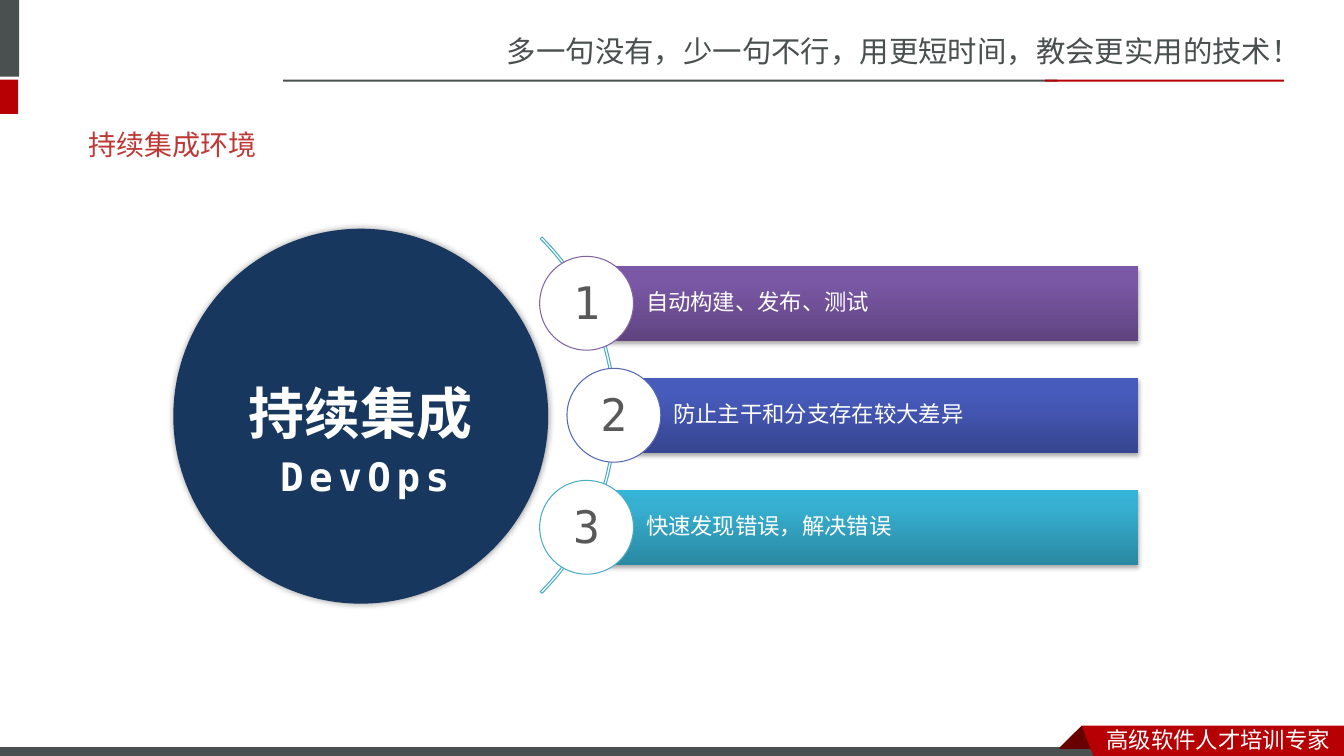
"""Build a slide that presents three benefits of continuous integration."""
from copy import deepcopy

from lxml.etree import SubElement
from pptx import Presentation
from pptx.dml.color import RGBColor
from pptx.enum.shapes import MSO_SHAPE
from pptx.enum.text import MSO_ANCHOR, PP_ALIGN
from pptx.oxml.ns import qn
from pptx.util import Pt

MONO = "DejaVu Sans Mono"
SANS = "Noto Sans CJK SC"
GRAY, RED, WHITE = "49504F", "B60004", "FFFFFF"


def paint(shape, fill=None, line=None, shadow=None):
    if isinstance(fill, tuple):
        shape.fill.gradient()
        shape.fill.gradient_angle = 90
        stop_list = shape._element.spPr.find(".//" + qn("a:gsLst"))
        stop_list.append(deepcopy(stop_list[-1]))
        for stop, position, color in zip(shape.fill.gradient_stops, (0, 0.8, 1), fill):
            stop.position = position
            stop.color.rgb = RGBColor.from_string(color)
    elif fill:
        shape.fill.solid()
        shape.fill.fore_color.rgb = RGBColor.from_string(fill)
    else:
        shape.fill.background()
    if line:
        shape.line.color.rgb = RGBColor.from_string(line)
        shape.line.width = Pt(0.75)
    else:
        shape.line.fill.background()
    shape.shadow.inherit = False
    if shadow:
        blur, distance, opacity = shadow
        effects = shape._element.spPr.find(qn("a:effectLst"))
        outer = SubElement(effects, qn("a:outerShdw"), blurRad=str(Pt(blur)),
                           dist=str(Pt(distance)), dir="5400000", rotWithShape="0")
        black = SubElement(outer, qn("a:srgbClr"), val="000000")
        SubElement(black, qn("a:alpha"), val=str(opacity * 1000))


def write(shape, text, size, color=WHITE, font=MONO, bold=False, align=PP_ALIGN.LEFT,
          anchor=MSO_ANCHOR.MIDDLE, insets=(7.2, 3.6, 7.2, 3.6), leading=1.0, tracking=0):
    frame = shape.text_frame
    frame.word_wrap = True
    frame.vertical_anchor = anchor
    frame.margin_left, frame.margin_top, frame.margin_right, frame.margin_bottom = map(Pt, insets)
    paragraph = frame.paragraphs[0]
    paragraph.alignment = align
    paragraph.line_spacing = leading
    paragraph.space_before = Pt(0)
    run = paragraph.add_run()
    run.text = text
    run.font.size = Pt(size)
    run.font.bold = bold
    run.font.color.rgb = RGBColor.from_string(color)
    run.font.name = font
    properties = run.font._element
    SubElement(properties, qn("a:ea"), typeface=font)
    if tracking:
        properties.set("spc", str(tracking * 100))


presentation = Presentation()
presentation.slide_width, presentation.slide_height = Pt(960), Pt(540)
slide = presentation.slides.add_slide(presentation.slide_layouts[5])
shapes = slide.shapes

for left, top, width, height, color, line in (
    (-4.3, 0, 18, 54.7, GRAY, None),
    (-4.3, 56.9, 17.3, 24.5, RED, None),
    (202.3, 56.9, 553, 1.4, GRAY, None),
    (746.6, 56.9, 170.6, 1.4, RED, None),
    (-0.7, 533.5, 792, 8.6, GRAY, WHITE),
):
    block = shapes.add_shape(MSO_SHAPE.RECTANGLE, Pt(left), Pt(top), Pt(width), Pt(height))
    paint(block, color, line)

ribbon_fold = [(772.6, 518.4), (788.4, 534.2), (787.7, 535), (757.4, 535), (756.7, 534.2)]
ribbon = [(772.6, 518.4), (960, 518.4), (960, 542.9), (781.9, 542.2)]
for outline, color in ((ribbon_fold, "680000"), (ribbon, RED)):
    points = [(Pt(x), Pt(y)) for x, y in outline]
    builder = shapes.build_freeform(*points[0])
    builder.add_line_segments(points[1:], close=True)
    paint(builder.convert_to_shape(), color)

slogan = shapes.add_textbox(Pt(355), Pt(20.2), Pt(605), Pt(33.8))
write(slogan, "多一句没有，少一句不行，用更短时间，教会更实用的技术！", 21, GRAY, SANS,
      anchor=MSO_ANCHOR.TOP)
footer = shapes.add_textbox(Pt(783.4), Pt(514.8), Pt(176.6), Pt(26.6))
write(footer, "高级软件人才培训专家", 16, font=SANS, anchor=MSO_ANCHOR.TOP)

title = shapes.title
title.left, title.top, title.width, title.height = Pt(56.2), Pt(65.5), Pt(470), Pt(50.4)
write(title, "持续集成环境", 20, "BE3936", "Roboto", leading=2.0)

topic = shapes.add_shape(MSO_SHAPE.OVAL, Pt(123.8), Pt(163.4), Pt(267.8), Pt(267.8))
paint(topic, "17375E", shadow=(5, 0, 40))
write(topic, "持续集成", 40, bold=True, align=PP_ALIGN.CENTER, insets=(0, 0, 0, 0), leading=0.9)
subtopic = shapes.add_textbox(Pt(193), Pt(319.7), Pt(150), Pt(41))
write(subtopic, "DevOps", 28, bold=True, anchor=MSO_ANCHOR.TOP, tracking=4)

arc = shapes.add_shape(MSO_SHAPE.BLOCK_ARC, Pt(79.9), Pt(116.6), Pt(360), Pt(360))
arc.adjustments[0], arc.adjustments[1], arc.adjustments[2] = 189, 27, 0.005
paint(arc, line="4BACC6")

bar_right, bar_height, badge_size = 812.9, 53.3, 67
benefits = (
    ("自动构建、发布、测试", 419, ("5F4480", "7B58A6", "7C57A8"), "8064A2"),
    ("防止主干和分支存在较大差异", 438.5, ("374691", "475BBC", "455ABF"), "5767B4"),
    ("快速发现错误，解决错误", 419, ("2A88A2", "37B1D2", "34B4D6"), "4BACC6"),
)
for index, (text, left, gradient, outline) in enumerate(benefits):
    top = 190 + 80 * index
    bar = shapes.add_shape(MSO_SHAPE.RECTANGLE, Pt(left), Pt(top),
                           Pt(bar_right - left), Pt(bar_height))
    paint(bar, gradient, shadow=(3.1, 1.8, 35))
    write(bar, text, 16, insets=(42.5, 2.9, 2.9, 2.9), leading=0.9)
    badge = shapes.add_shape(MSO_SHAPE.OVAL, Pt(left - badge_size / 2),
                             Pt(top + (bar_height - badge_size) / 2),
                             Pt(badge_size), Pt(badge_size))
    paint(badge, WHITE, outline)
    write(badge, str(index + 1), 32, "595959", align=PP_ALIGN.CENTER, insets=(0, 0, 0, 2))

presentation.save("out.pptx")
